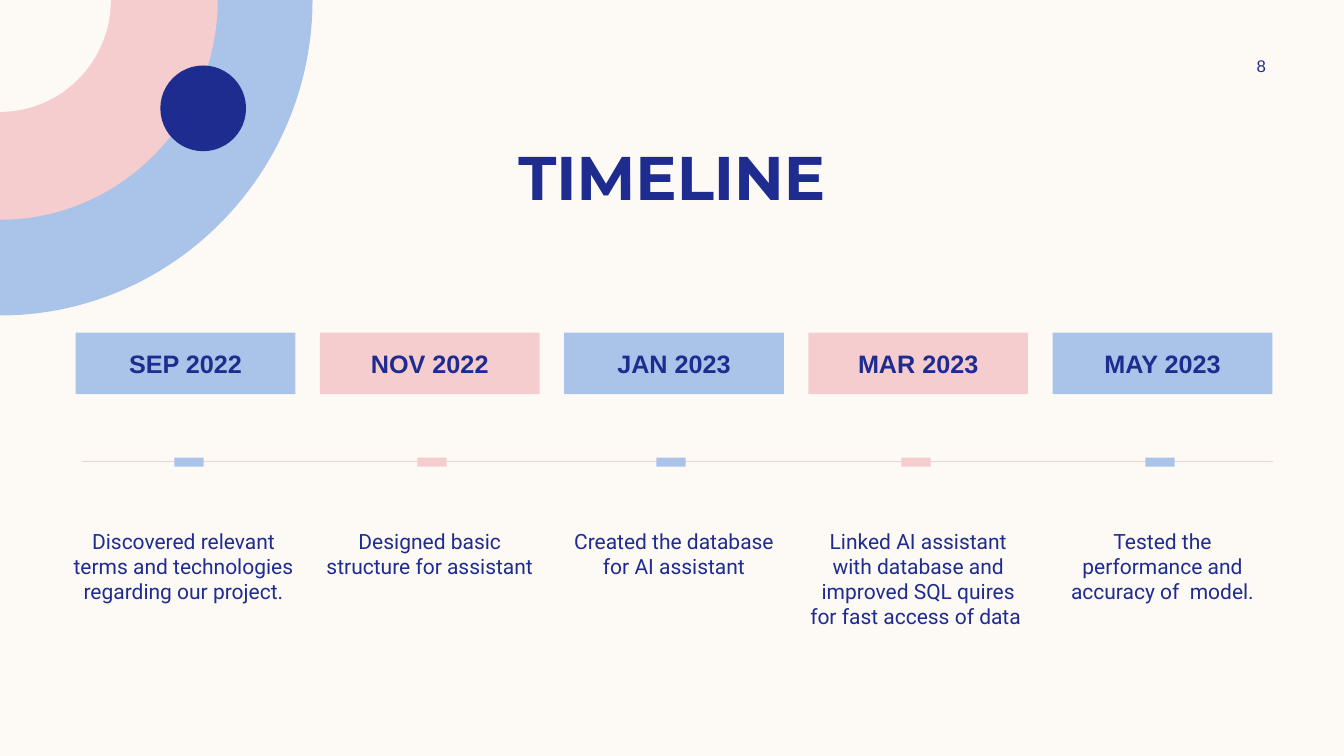
from lxml import etree
from pptx import Presentation
from pptx import util as u
from pptx.dml.color import RGBColor
from pptx.enum import shapes, text
from pptx.oxml.ns import qn

COLORS = {"cream": "FDFAF6", "blue": "AAC3E8", "pink": "F5CDCE", "navy": "1F2C8F", "line": "F2D1D1"}
ARC_HANDLE = 0.55

MILESTONES = [
    ("SEP 2022", "Discovered relevant terms and technologies regarding our project.", 1.83),
    ("NOV 2022", "Designed basic structure for assistant", 4.24),
    ("JAN 2023", "Created the database for AI assistant", 6.61),
    ("MAR 2023", "Linked AI assistant with database and improved SQL quires for fast access of data ", 9.04),
    ("MAY 2023", "Tested the performance and accuracy of  model.", 11.46),
]
CARD_LEFT, LAST_CARD_LEFT, CARD_WIDTH = 0.75, 10.44, 2.18


def color(name):
    """Return the named palette colour."""
    return RGBColor.from_string(COLORS[name])


def write(shape, words, size, font="Arial", bold=False, middle=False, inset=(0.1, 0.05)):
    """Put centred, formatted words into a shape."""
    box = shape.text_frame
    box.word_wrap = True
    box.vertical_anchor = text.MSO_ANCHOR.MIDDLE if middle else text.MSO_ANCHOR.TOP
    box.margin_left = box.margin_right = u.Inches(inset[0])
    box.margin_top = box.margin_bottom = u.Inches(inset[1])
    para = box.paragraphs[0]
    para.alignment = text.PP_ALIGN.CENTER
    span = para.add_run()
    span.text = words
    span.font.name = font
    span.font.size = u.Pt(size)
    span.font.bold = bold
    span.font.color.rgb = color("navy")


class TimelinePage:
    """Draw styled elements on one slide."""

    def __init__(self, deck):
        """Add a blank slide with the cream background."""
        self.page = deck.slides.add_slide(deck.slide_layouts[6])
        self.page.background.fill.solid()
        self.page.background.fill.fore_color.rgb = color("cream")

    def paint(self, shape, fill):
        """Give a shape a flat fill without outline or shadow."""
        shape.shadow.inherit = False
        shape.fill.solid()
        shape.fill.fore_color.rgb = color(fill)
        shape.line.fill.background()
        return shape

    def block(self, left, top, width, height, fill, kind=shapes.MSO_SHAPE.RECTANGLE):
        """Add a filled preset shape."""
        area = [u.Inches(value) for value in (left, top, width, height)]
        return self.paint(self.page.shapes.add_shape(kind, *area), fill)

    def quarter_disc(self, width, height, fill):
        """Add a quarter disc in the top left corner."""
        wide, high = u.Inches(width), u.Inches(height)
        outline = self.page.shapes.build_freeform(0, 0)
        outline.add_line_segments([(wide, 0), (0, high)], close=True)
        disc = self.paint(outline.convert_to_shape(), fill)
        chord = list(disc.element.iter(qn("a:lnTo")))[1]
        curve = etree.Element(qn("a:cubicBezTo"))
        for x, y in ((wide, high * ARC_HANDLE), (wide * ARC_HANDLE, high), (0, high)):
            etree.SubElement(curve, qn("a:pt"), x=str(int(x)), y=str(int(y)))
        chord.getparent().replace(chord, curve)

    def rule(self, left, right, top):
        """Add the horizontal timeline axis."""
        axis = self.page.shapes.add_connector(
            shapes.MSO_CONNECTOR.STRAIGHT,
            u.Inches(left), u.Inches(top), u.Inches(right), u.Inches(top))
        axis.line.color.rgb = color("line")
        axis.line.width = u.Pt(1)
        etree.SubElement(axis.element.spPr, qn("a:effectLst"))

    def label(self, left, top, width, height, words, size, **style):
        """Add a text box."""
        area = [u.Inches(value) for value in (left, top, width, height)]
        write(self.page.shapes.add_textbox(*area), words, size, **style)


def main():
    """Build and save the timeline slide."""
    deck = Presentation()
    deck.slide_width, deck.slide_height = u.Inches(13.33), u.Inches(7.5)
    page = TimelinePage(deck)

    for width, height, fill in ((3.1, 3.13, "blue"), (2.16, 2.18, "pink"), (1.1, 1.11, "cream")):
        page.quarter_disc(width, height, fill)
    page.block(1.59, 0.65, 0.85, 0.85, "navy", shapes.MSO_SHAPE.OVAL)
    page.rule(0.81, 12.63, 4.58)
    page.label(0.83, 1.33, 11.67, 0.84, "TIMELINE", 44, font="Montserrat", bold=True)
    page.label(11.97, 0.5, 1.08, 0.3, "8", 12, middle=True)

    pitch = (LAST_CARD_LEFT - CARD_LEFT) / (len(MILESTONES) - 1)
    for index, (date, summary, marker_left) in enumerate(MILESTONES):
        left = CARD_LEFT + index * pitch
        fill = ("blue", "pink")[index % 2]
        card = page.block(left, 3.3, CARD_WIDTH, 0.61, fill)
        write(card, date, 18, bold=True, middle=True, inset=(0, 0))
        page.block(marker_left, 4.44, 0.09, 0.29, fill).rotation = 270
        outdent = 0.04 if index == 0 else 0
        height = 1.08 if date == "MAR 2023" else 0.87
        page.label(left - outdent, 5.19, CARD_WIDTH + outdent, height, summary, 15,
                   font="Roboto", inset=(0, 0.05))

    deck.save("out.pptx")


if __name__ == "__main__":
    main()
